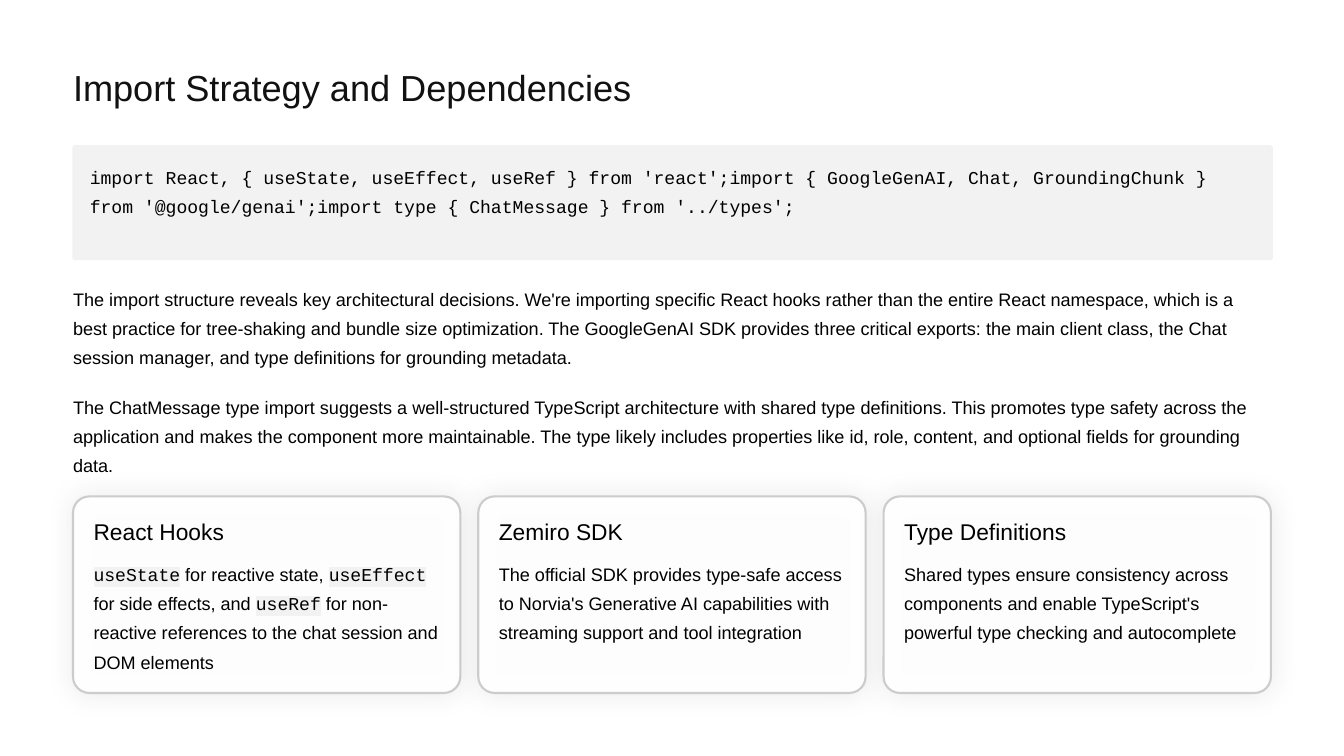
from lxml.etree import SubElement
from pptx import Presentation
from pptx.dml.color import RGBColor
from pptx.enum.shapes import MSO_SHAPE
from pptx.oxml.ns import qn
from pptx.util import Pt

LEFT, WIDTH = 62.6, 1026.8
CARD_W, CARD_H, CARD_TOP, CARD_PITCH = 332, 168.5, 425.5, 347.4
CARD_PAD = 17.6


def rgb(value):
    return RGBColor.from_string(value)


def add_color(parent, value, alpha=None):
    color = SubElement(parent, qn("a:srgbClr"), val=value)
    if alpha is not None:
        SubElement(color, qn("a:alpha"), val=str(alpha * 1000))


class Deck:
    sans, mono = "Arial", "Courier New"
    ink, title_ink, code_fill = "000000", "111111", "F2F2F2"
    card_fill, card_line, shadow = "FFFFFF", "CCCCCC", "333333"

    def __init__(self):
        self.prs = Presentation()
        self.prs.slide_width, self.prs.slide_height = Pt(1152), Pt(648)
        self.s = self.prs.slides.add_slide(self.prs.slide_layouts[6])
        fill = self.s.background.fill
        fill.solid()
        fill.fore_color.rgb = rgb("FFFFFF")

    def panel(self, x, y, w, h, radius, color):
        sp = self.s.shapes.add_shape(MSO_SHAPE.ROUNDED_RECTANGLE,
                                     Pt(x), Pt(y), Pt(w), Pt(h))
        sp.adjustments[0] = radius / min(w, h)
        sp.shadow.inherit = False
        sp.fill.solid()
        sp.fill.fore_color.rgb = rgb(color)
        sp.line.fill.background()
        return sp

    def text(self, x, y, w, h, runs, size=15.5, spacing=25, color=ink, wrap=True):
        """Add a text box; runs are (text, is_code) pairs."""
        tf = self.s.shapes.add_textbox(Pt(x), Pt(y), Pt(w), Pt(h)).text_frame
        tf.word_wrap = wrap
        tf.margin_left = tf.margin_top = tf.margin_right = tf.margin_bottom = 0
        p = tf.paragraphs[0]
        p.line_spacing = Pt(spacing)
        for words, is_code in runs:
            r = p.add_run()
            r.text = words
            r.font.size = Pt(size)
            r.font.color.rgb = rgb(color)
            r.font.name = self.mono if is_code else self.sans
            if is_code:
                self.highlight(r)

    def highlight(self, r):
        rPr = r.font._element
        mark = SubElement(rPr, qn("a:highlight"))
        add_color(mark, self.code_fill)
        rPr.find(qn("a:latin")).addprevious(mark)

    def card(self, x, heading, runs):
        sp = self.panel(x, CARD_TOP, CARD_W, CARD_H, 14, self.card_fill)
        fill_color = sp._element.spPr.find(qn("a:solidFill"))[0]
        SubElement(fill_color, qn("a:alpha"), val="95000")
        sp.line.color.rgb = rgb(self.card_line)
        sp.line.width = Pt(1.8)
        effects = sp._element.spPr.find(qn("a:effectLst"))
        glow = SubElement(effects, qn("a:outerShdw"), blurRad=str(Pt(23.4)),
                          dist="0", dir="0", algn="ctr", rotWithShape="0")
        add_color(glow, self.shadow, 10)
        inner = CARD_W - 2 * CARD_PAD
        self.text(x + CARD_PAD, 442.8, inner, 24.5, [(heading, False)],
                  size=19.5, spacing=24, wrap=False)
        self.text(x + CARD_PAD, 476.6, inner, 100, runs)


def main():
    deck = Deck()
    deck.text(LEFT, 54, 531, 39, [("Import Strategy and Dependencies", False)],
              size=31, spacing=39, color=deck.title_ink, wrap=False)

    deck.panel(62, 124.5, 1029, 98.6, 2.4, deck.code_fill)
    deck.text(77, 136, 997, 75, [(
        "import React, { useState, useEffect, useRef } from 'react';"
        "import { GoogleGenAI, Chat, GroundingChunk } from '@google/genai';"
        "import type { ChatMessage } from '../types';", True)])

    paragraphs = [
        "The import structure reveals key architectural decisions. We're importing "
        "specific React hooks rather than the entire React namespace, which is a best "
        "practice for tree-shaking and bundle size optimization. The GoogleGenAI SDK "
        "provides three critical exports: the main client class, the Chat session "
        "manager, and type definitions for grounding metadata.",
        "The ChatMessage type import suggests a well-structured TypeScript architecture "
        "with shared type definitions. This promotes type safety across the application "
        "and makes the component more maintainable. The type likely includes properties "
        "like id, role, content, and optional fields for grounding data.",
    ]
    for i, words in enumerate(paragraphs):
        deck.text(LEFT, 240.5 + i * 92.5, WIDTH, 75, [(words, False)])

    cards = [
        ("React Hooks", [
            ("useState", True), (" for reactive state, ", False),
            ("useEffect", True), (" for side effects, and ", False),
            ("useRef", True),
            (" for non-reactive references to the chat session and DOM elements", False),
        ]),
        ("Zemiro SDK", [(
            "The official SDK provides type-safe access to Norvia's Generative AI "
            "capabilities with streaming support and tool integration", False)]),
        ("Type Definitions", [(
            "Shared types ensure consistency across components and enable "
            "TypeScript's powerful type checking and autocomplete", False)]),
    ]
    for i, (heading, runs) in enumerate(cards):
        deck.card(LEFT + i * CARD_PITCH, heading, runs)

    deck.prs.save("out.pptx")


if __name__ == "__main__":
    main()
